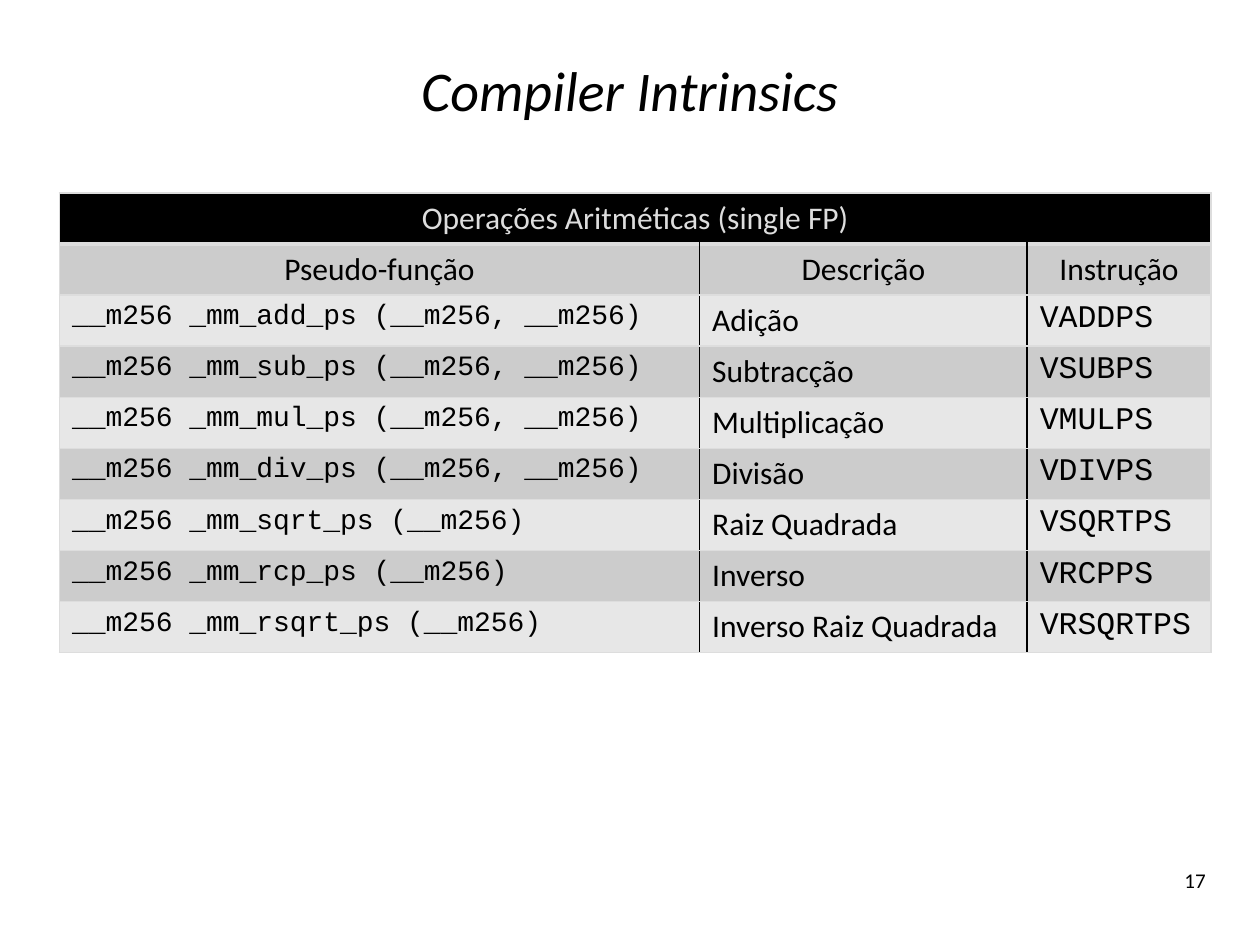
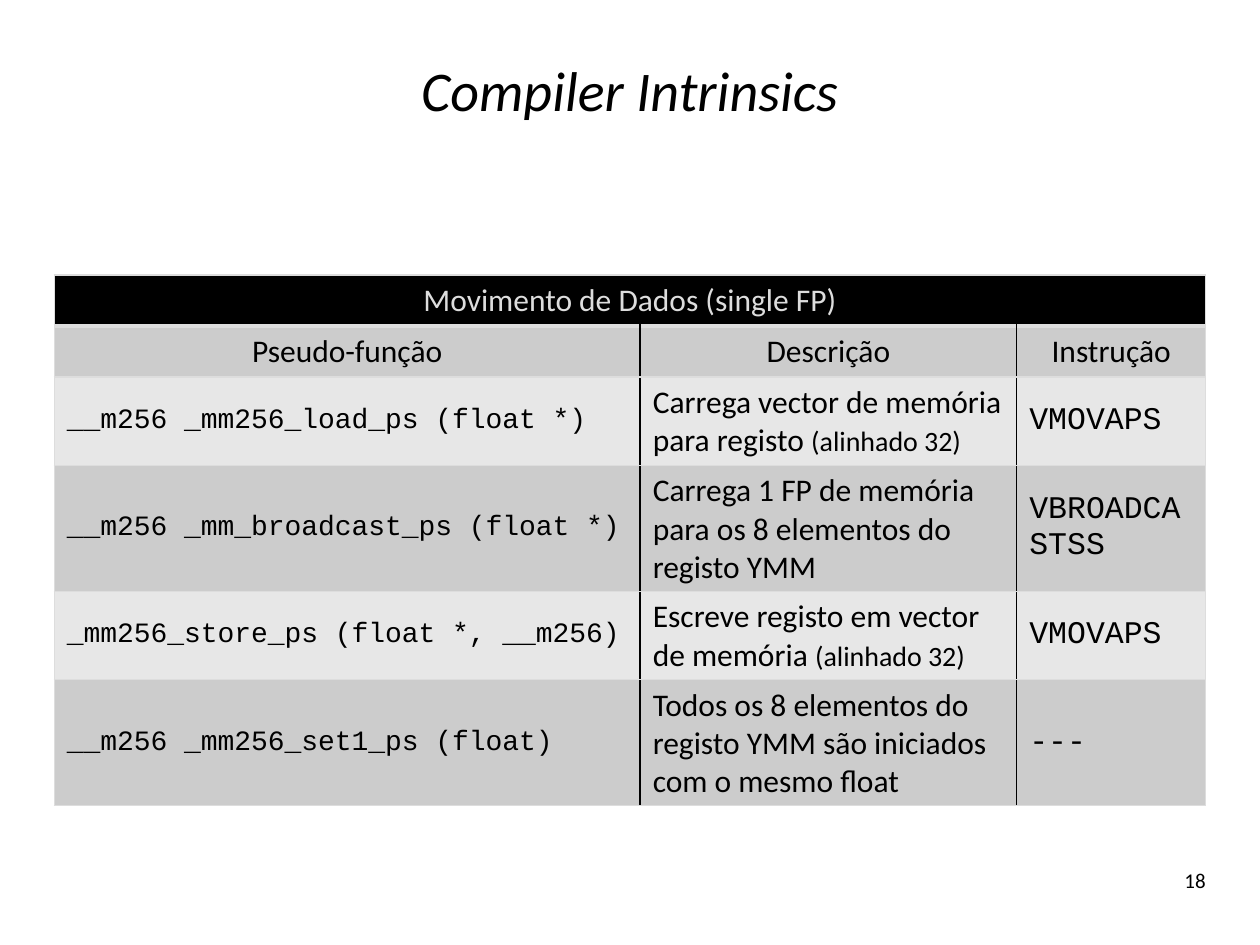
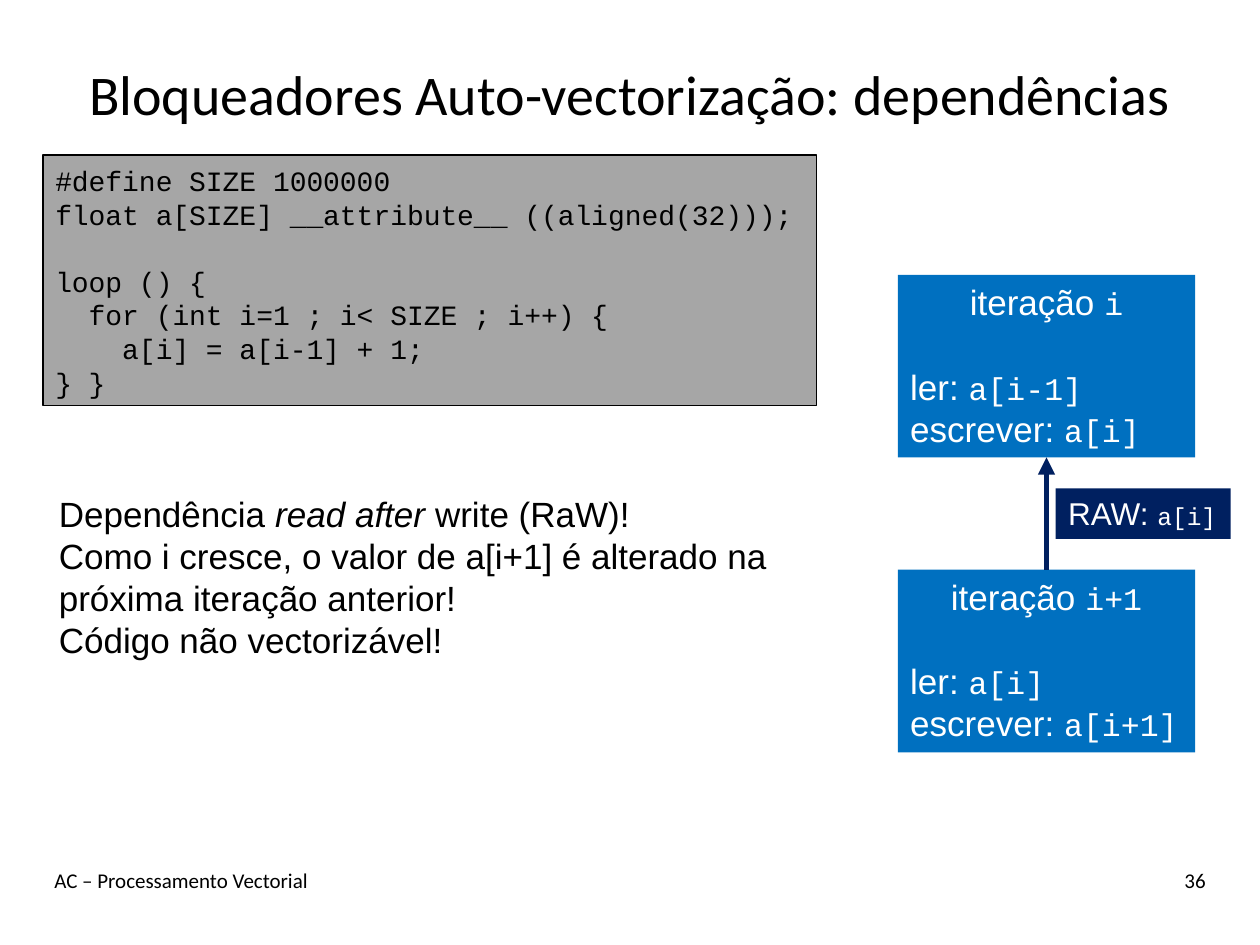
from lxml import etree
from pptx import Presentation
from pptx.dml.color import RGBColor
from pptx.enum import shapes, text
from pptx.oxml import ns
from pptx.util import Pt

# Shared style
BLACK, WHITE, PALE = "000000", "FFFFFF", "DDDDDD"
BAND_DARK, BAND_LIGHT, CODE_GREY = "CCCCCC", "E7E7E7", "A6A6A6"
BLUE, NAVY = "0070C0", "002060"
HEAD, BODY, MONO = "Calibri", "Arial", "Courier New"
LEFT, CENTER, RIGHT = text.PP_ALIGN.LEFT, text.PP_ALIGN.CENTER, text.PP_ALIGN.RIGHT
TOP, MIDDLE = text.MSO_ANCHOR.TOP, text.MSO_ANCHOR.MIDDLE
ROW = 29.2


def rgb(value):
    return RGBColor.from_string(value)


def write(p, content, font=BODY, size=20, color=BLACK, italic=False):
    """Add one run to paragraph p."""
    r = p.add_run()
    r.text = content
    r.font.name, r.font.size, r.font.italic = font, Pt(size), italic
    r.font.color.rgb = rgb(color)


def fill_paragraph(p, runs, **base):
    """Write a string, or a list of (string, format changes)."""
    for content, changes in [(runs, {})] if isinstance(runs, str) else runs:
        write(p, content, **{**base, **changes})


def mono(content, size=18):
    return content, {"font": MONO, "size": size}


def sub(parent, tag, **attrs):
    return etree.SubElement(parent, ns.qn(tag), attrs)


def set_borders(cell, **sides):
    """Give each side, in the order L, R, T, B, a (colour, width)."""
    tc_pr = cell._tc.get_or_add_tcPr()
    for i, (side, (color, width)) in enumerate(sides.items()):
        ln = etree.Element(ns.qn("a:ln" + side), {"w": str(Pt(width))})
        sub(sub(ln, "a:solidFill"), "a:srgbClr", val=color)
        tc_pr.insert(i, ln)


class Deck:
    def __init__(self):
        self.prs = Presentation()
        self.prs.slide_width, self.prs.slide_height = Pt(720), Pt(540)
        self.s = None

    def slide(self, title, number, italic=False, top=18):
        self.s = self.prs.slides.add_slide(self.prs.slide_layouts[5])
        sp = self.s.shapes.title
        sp.left, sp.top, sp.width, sp.height = Pt(24), Pt(top), Pt(672), Pt(66)
        tf = sp.text_frame
        tf.auto_size, tf.vertical_anchor = text.MSO_AUTO_SIZE.NONE, MIDDLE
        tf.paragraphs[0].alignment = CENTER
        write(tf.paragraphs[0], title, font=HEAD, size=32, italic=italic)
        self.footer(number, 600, 96, RIGHT)

    def footer(self, content, left, width, align=LEFT):
        sp = self.s.shapes.add_textbox(Pt(left), Pt(492), Pt(width), Pt(36))
        sp.text_frame.word_wrap = True
        p = sp.text_frame.paragraphs[0]
        p.alignment = align
        write(p, content, font=HEAD, size=12)

    def box(self, left, top, width, height, lines, fill=None, line=None,
            gap_at=None, center_first=False, **fmt):
        """Text in a rectangle; one line's gap goes before line gap_at."""
        sp = self.s.shapes.add_shape(shapes.MSO_SHAPE.RECTANGLE,
                                     Pt(left), Pt(top), Pt(width), Pt(height))
        sp.shadow.inherit = False
        if fill:
            sp.fill.solid()
            sp.fill.fore_color.rgb = rgb(fill)
        else:
            sp.fill.background()
        if line:
            sp.line.color.rgb, sp.line.width = rgb(line), Pt(0.75)
        else:
            sp.line.fill.background()
        tf = sp.text_frame
        tf.word_wrap, tf.vertical_anchor = True, TOP
        pitch = Pt(1.2 * fmt.get("size", 20))
        for i, runs in enumerate(lines):
            p = tf.add_paragraph() if i else tf.paragraphs[0]
            p.alignment = CENTER if center_first and i == 0 else LEFT
            p.line_spacing = pitch
            if i == gap_at:
                p.space_before = pitch
            fill_paragraph(p, runs, **fmt)
        return sp

    def arrow(self, start, end, color, width):
        """Arrow from the top of start to the bottom of end."""
        cx = self.s.shapes.add_connector(shapes.MSO_CONNECTOR.STRAIGHT, 0, 0, 0, 0)
        cx.begin_connect(start, 0)
        cx.end_connect(end, 2)
        cx.line.color.rgb, cx.line.width = rgb(color), Pt(width)
        sub(cx.line._get_or_add_ln(), "a:tailEnd", type="triangle")
        sub(cx._element.spPr, "a:effectLst")

    def table(self, left, top, widths, heading, rows, heights, code_anchor=TOP):
        """Rows of pseudo-function, description and instruction."""
        rows = [(heading, "", ""), ("Pseudo-função", "Descrição", "Instrução")] + rows
        heights = [ROW, ROW] + heights
        frame = self.s.shapes.add_table(len(rows), 3, Pt(left), Pt(top),
                                        Pt(sum(widths)), Pt(sum(heights)))
        table = frame.table
        for column, width in zip(table.columns, widths):
            column.width = Pt(width)
        for i, (row, height) in enumerate(zip(rows, heights)):
            table.rows[i].height = Pt(height)
            for j, runs in enumerate(row):
                self.cell(table.cell(i, j), i, j, runs, code_anchor)
        table.cell(0, 0).merge(table.cell(0, 2))

    def cell(self, cell, i, j, runs, code_anchor):
        cell.fill.solid()
        cell.fill.fore_color.rgb = rgb(
            BLACK if i == 0 else BAND_DARK if i % 2 else BAND_LIGHT)
        is_code = i > 1 and j != 1
        cell.vertical_anchor = code_anchor if is_code else TOP
        set_borders(cell,
                    L=(BLACK if i and j else PALE, 1),
                    R=(BLACK if i and j < 2 else PALE, 1),
                    T=(PALE, 3 if i == 1 else 1),
                    B=(PALE, 1 if i else 3))
        p = cell.text_frame.paragraphs[0]
        p.alignment = LEFT if i > 1 else CENTER
        if runs:
            fill_paragraph(p, runs, font=MONO if is_code else HEAD,
                           size=16 if is_code and j == 0 else 18,
                           color=BLACK if i else PALE)


def main():
    deck = Deck()

    # Arithmetic intrinsics
    deck.slide("Compiler Intrinsics", "17", italic=True)
    operations = [
        ("add", "__m256, __m256", "Adição"),
        ("sub", "__m256, __m256", "Subtracção"),
        ("mul", "__m256, __m256", "Multiplicação"),
        ("div", "__m256, __m256", "Divisão"),
        ("sqrt", "__m256", "Raiz Quadrada"),
        ("rcp", "__m256", "Inverso"),
        ("rsqrt", "__m256", "Inverso Raiz Quadrada"),
    ]
    rows = [(f"__m256 _mm_{name}_ps ({args})", label, f"V{name.upper()}PS")
            for name, args, label in operations]
    deck.table(34, 110.2, [365.8, 187.2, 105], "Operações Aritméticas (single FP)",
               rows, [ROW] * len(rows))

    # Data movement intrinsics
    deck.slide("Compiler Intrinsics", "18", italic=True)
    aligned = ("(alinhado 32)", {"size": 16})
    deck.table(31, 157, [334.8, 215.2, 108], "Movimento de Dados (single FP)", [
        ("__m256 _mm256_load_ps (float *)",
         [("Carrega vector de memória para registo ", {}), aligned], "VMOVAPS"),
        ("__m256 _mm_broadcast_ps (float *)",
         "Carrega 1 FP de memória para os 8 elementos do registo YMM",
         "VBROADCASTSS"),
        ("_mm256_store_ps (float *, __m256)",
         [("Escreve registo em vector de memória ", {}), aligned], "VMOVAPS"),
        ("__m256 _mm256_set1_ps (float)",
         "Todos os 8 elementos do registo YMM são iniciados com o mesmo float",
         "---"),
    ], [50.5, 72, 50.5, 72], code_anchor=MIDDLE)

    # Dependencies: code and explanation
    deck.slide("Bloqueadores Auto-vectorização: dependências", "36", top=20)
    deck.footer("AC – Processamento Vectorial", 24, 504)
    code = deck.box(24.5, 88.5, 442, 143.3, [
        "#define SIZE 1000000",
        "float a[SIZE] __attribute__ ((aligned(32)));",
        "loop () {",
        "  for (int i=1 ; i< SIZE ; i++) {",
        "    a[i] = a[i-1] + 1;",
        "} }",
    ], fill=CODE_GREY, line=BLACK, gap_at=2, font=MONO, size=16)
    code.text_frame.margin_top = Pt(5)
    deck.box(26.5, 278, 466, 104.4, [
        [("Dependência ", {}), ("read after ", {"italic": True}),
         ("write (RaW)!", {})],
        "Como i cresce, o valor de a[i+1] é alterado na próxima iteração anterior!",
        "Código não vectorizável!",
    ])

    # Dependencies: the two iterations
    first, second = [
        deck.box(513, top, 170, 104.4, [
            [("iteração ", {}), mono(index)],
            [("ler: ", {}), mono(read)],
            [("escrever: ", {}), mono(f"a[{index}]")],
        ], fill=BLUE, gap_at=1, center_first=True, color=WHITE)
        for top, index, read in [(157, "i", "a[i-1]"), (325.5, "i+1", "a[i]")]
    ]
    deck.arrow(second, first, NAVY, 3.25)
    deck.box(603.3, 279, 100, 29, [[("RAW: ", {}), mono("a[i]", 14)]],
             fill=NAVY, size=18, color=WHITE)

    deck.prs.save("out.pptx")


if __name__ == "__main__":
    main()
